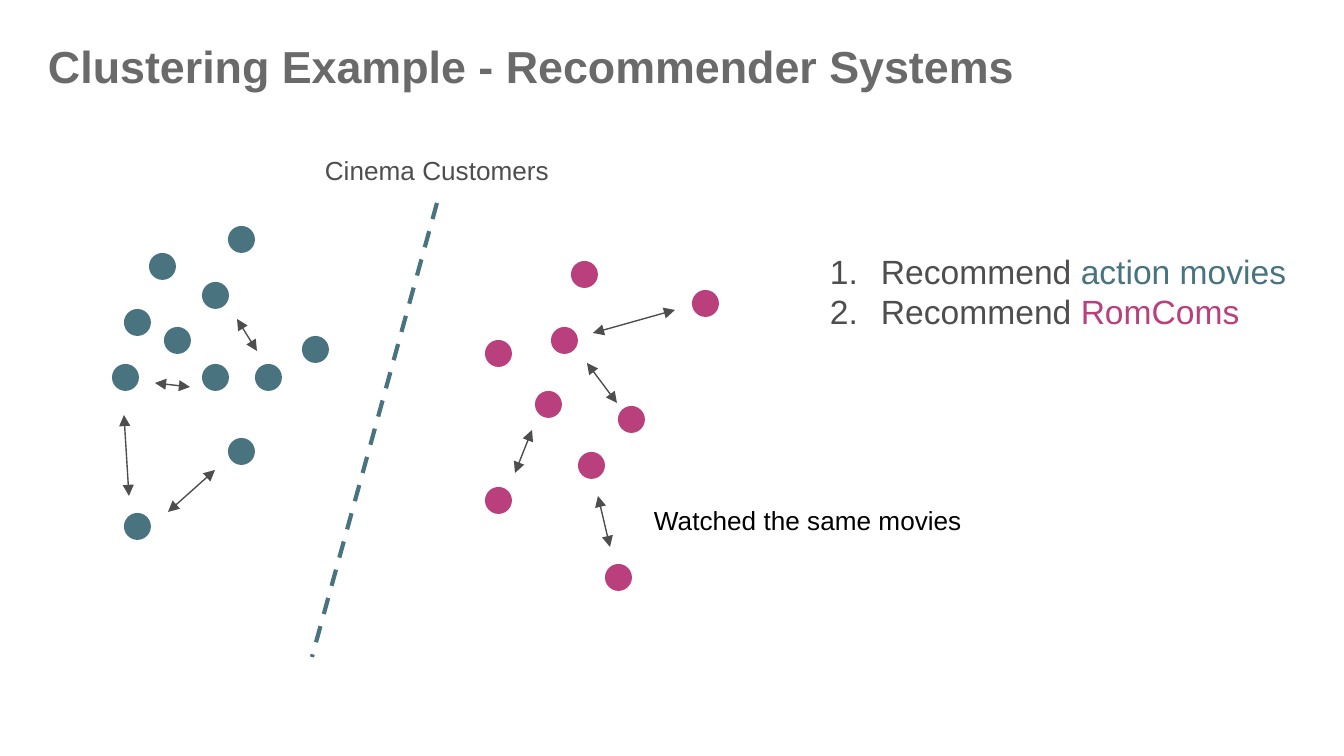
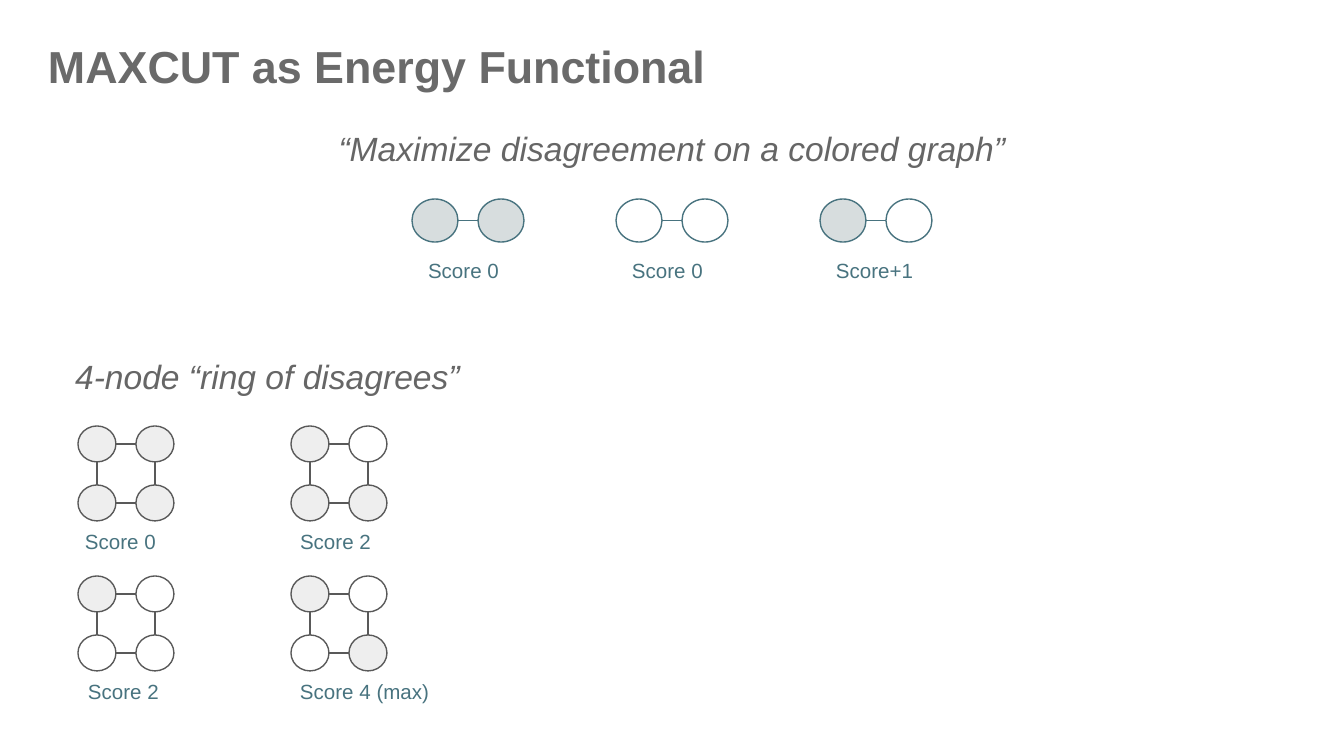
from pptx import Presentation
from pptx.dml.color import RGBColor
from pptx.enum.dml import MSO_LINE_DASH_STYLE as Dash
from pptx.enum.shapes import MSO_CONNECTOR as Connector, MSO_SHAPE as Shape
from pptx.enum.text import MSO_ANCHOR as Anchor, MSO_AUTO_SIZE as AutoSize, PP_ALIGN as Align
from pptx.oxml import parse_xml
from pptx.oxml.ns import nsdecls
from pptx.util import Emu, Pt


class Theme:
    font = "Arial"
    title, quote, ink, black = "6A6A6A", "666666", "4E4E4E", "000000"
    teal, pink = "48737F", "B9407D"
    white, pair_fill, ring_fill, ring_line = "FFFFFF", "D7DDDE", "EEEEEE", "595959"
    title_size, lead_size, note_size, score_size = 24, 18, 14, 11
    thin, thick = 0.75, 2.25


# Content; all lengths in px
PAGE = (1344, 756)
TITLE_BOX = (35, 26, 1161, 71)

DOT = 27
CUSTOMERS = {
    Theme.teal: [(149, 253), (124, 309), (202, 282), (164, 327), (228, 226), (112, 364),
                 (202, 364), (302, 336), (228, 438), (255, 364), (124, 513)],
    Theme.pink: [(535, 391), (578, 452), (618, 406), (485, 487), (485, 340),
                 (551, 327), (692, 290), (605, 564), (571, 261)],
}
DIVIDER = ((437, 203), (312, 657))
SAME_MOVIES = [
    ((610, 547), (598, 496)), ((515, 473), (532, 430)), ((617, 403), (587, 363)),
    ((675, 310), (593, 333)), ((155, 383), (190, 387)), ((129, 496), (124, 415)),
    ((168, 512), (215, 470)), ((257, 351), (237, 319)),
]
ADVICE = [
    [("Recommend ", Theme.ink), ("action movies", Theme.teal)],
    [("Recommend ", Theme.ink), ("RomComs", Theme.pink)],
]

# Node fills run left to right, then top to bottom
SHADED, GREY, WHITE = Theme.pair_fill, Theme.ring_fill, Theme.white
PAIRS = [("Score 0", [SHADED, SHADED]), ("Score 0", [WHITE, WHITE]), ("Score+1", [SHADED, None])]
RINGS = [  # score, label left, label width, fills
    ("Score 0", 75, 101, [GREY, GREY, GREY, GREY]),
    ("Score 2", 290, 101, [GREY, WHITE, GREY, GREY]),
    ("Score 2", 78, 101, [GREY, WHITE, WHITE, WHITE]),
    ("Score 4 (max)", 290, 160, [GREY, WHITE, WHITE, GREY]),
]
PAIR_GRID = dict(left=412, top=199, pitch=204)
PAIR_NODE = dict(size=(46, 43), pitch=(66, 0), kind=Shape.FLOWCHART_CONNECTOR, color=Theme.teal)
RING_GRID = dict(left=78, top=426, pitch=(213, 150))
RING_NODE = dict(size=(38, 36), pitch=(58, 59), kind=Shape.OVAL, color=Theme.ring_line)


# Helpers
def px(value):
    return Emu(round(value * 914400 / 134.4))


def rgb(color):
    return RGBColor.from_string(color)


def apply_format(target, values):
    for name, value in values.items():
        setattr(target, name, value)


def write(para, spans, size, **font):
    for text, color in spans:
        span = para.add_run()
        span.text = text
        apply_format(span.font, dict(name=Theme.font, size=Pt(size), **font))
        span.font.color.rgb = rgb(color)


def set_frame(box, anchor=Anchor.TOP, inset=(13, 13)):
    side, edge = map(px, inset)
    apply_format(box.text_frame, dict(
        word_wrap=True, auto_size=AutoSize.NONE, vertical_anchor=anchor,
        margin_left=side, margin_right=side, margin_top=edge, margin_bottom=edge))
    return box.text_frame.paragraphs[0]


def add_text(page, place, text, color, size, align=Align.LEFT, spacing=None,
             anchor=Anchor.TOP, inset=(13, 13), **font):
    para = set_frame(page.shapes.add_textbox(*map(px, place)), anchor, inset)
    apply_format(para, dict(alignment=align, line_spacing=spacing))
    write(para, [(text, color)], size, **font)


def add_score(page, left, top, width, text):
    add_text(page, (left, top, width, 34), text, Theme.teal, Theme.score_size,
             spacing=1.1, inset=(10, 5))


def add_quote(page, place, text):
    add_text(page, place, text, Theme.quote, Theme.lead_size, Align.CENTER,
             anchor=Anchor.MIDDLE, italic=True)


def add_node(shapes, kind, place, fill, outline=None):
    node = shapes.add_shape(kind, *map(px, place))
    node.shadow.inherit = False
    if fill:
        node.fill.solid()
        node.fill.fore_color.rgb = rgb(fill)
    else:
        node.fill.background()
    if outline:
        node.line.color.rgb = rgb(outline)
        node.line.width = Pt(Theme.thin)
    else:
        node.line.fill.background()


def add_line(shapes, start, end, color, width=Theme.thin, dash=None, arrows=False):
    line = shapes.add_connector(Connector.STRAIGHT, *map(px, (*start, *end)))
    line.line.color.rgb = rgb(color)
    apply_format(line.line, dict(width=Pt(width), dash_style=dash))
    if arrows:
        for tag in ("headEnd", "tailEnd"):
            line.line._get_or_add_ln().append(
                parse_xml(f'<a:{tag} {nsdecls("a")} type="triangle"/>'))
    line._element.spPr.append(parse_xml(f'<a:effectLst {nsdecls("a")}/>'))


def number_item(para):
    props = para._p.get_or_add_pPr()
    props.set("marL", str(px(67)))
    props.set("indent", str(px(-51)))
    for xml in (f'<a:buClr {nsdecls("a")}><a:srgbClr val="{Theme.ink}"/></a:buClr>',
                f'<a:buAutoNum {nsdecls("a")} type="arabicPeriod"/>'):
        props.append(parse_xml(xml))


def add_graph(shapes, left, top, fills, size, pitch, kind, color):
    """Draw nodes two to a row, with edges between neighbours."""
    width, height = size
    step_x, step_y = pitch
    rows = len(fills) // 2
    for index, fill in enumerate(fills):
        row, col = divmod(index, 2)
        add_node(shapes, kind, (left + col * step_x, top + row * step_y, width, height), fill, color)
    for row in range(rows):
        y = top + row * step_y + height / 2
        add_line(shapes, (left + width, y), (left + step_x, y), color)
    if rows > 1:
        for col in range(2):
            x = left + col * step_x + width / 2
            add_line(shapes, (x, top + height), (x, top + step_y), color)


def add_page(deck, title):
    page = deck.slides.add_slide(deck.slide_layouts[5])
    box = page.shapes.title
    apply_format(box, dict(zip(("left", "top", "width", "height"), map(px, TITLE_BOX))))
    para = set_frame(box)
    para.alignment = Align.LEFT
    write(para, [(title, Theme.title)], Theme.title_size, bold=True)
    return page


# Pages
def build_recommender(deck):
    page = add_page(deck, "Clustering Example - Recommender Systems")
    for color, spots in CUSTOMERS.items():
        for left, top in spots:
            add_node(page.shapes, Shape.OVAL, (left, top, DOT, DOT), color)

    box = page.shapes.add_textbox(*map(px, (801, 238, 527, 110)))
    para = set_frame(box)
    for index, spans in enumerate(ADVICE):
        if index:
            para = box.text_frame.add_paragraph()
        number_item(para)
        write(para, spans, Theme.lead_size)

    add_line(page.shapes, *DIVIDER, Theme.teal, Theme.thick, Dash.DASH)
    add_text(page, (168, 141, 538, 63), "Cinema Customers", Theme.ink, Theme.note_size, Align.CENTER)
    add_text(page, (641, 491, 343, 63), "Watched the same movies", Theme.black, Theme.note_size)
    for start, end in SAME_MOVIES:
        add_line(page.shapes, start, end, Theme.ink, arrows=True)


def build_maxcut(deck):
    page = add_page(deck, "MAXCUT as Energy Functional")
    add_quote(page, (235, 99, 874, 99), "“Maximize disagreement on a colored graph”")
    for index, (score, fills) in enumerate(PAIRS):
        left, top = PAIR_GRID["left"] + index * PAIR_GRID["pitch"], PAIR_GRID["top"]
        add_graph(page.shapes, left, top, fills, **PAIR_NODE)
        add_score(page, left + 6, top + 52, 101, score)

    add_quote(page, (47, 327, 441, 99), "4-node “ring of disagrees”")
    step_x, step_y = RING_GRID["pitch"]
    for index, (score, label_left, label_width, fills) in enumerate(RINGS):
        row, col = divmod(index, 2)
        left, top = RING_GRID["left"] + col * step_x, RING_GRID["top"] + row * step_y
        ring = page.shapes.add_group_shape()
        add_graph(ring.shapes, left, top, fills, **RING_NODE)
        add_score(page, label_left, top + 96, label_width, score)


def main():
    deck = Presentation()
    deck.slide_width, deck.slide_height = map(px, PAGE)
    build_recommender(deck)
    build_maxcut(deck)
    deck.save("out.pptx")


if __name__ == "__main__":
    main()
